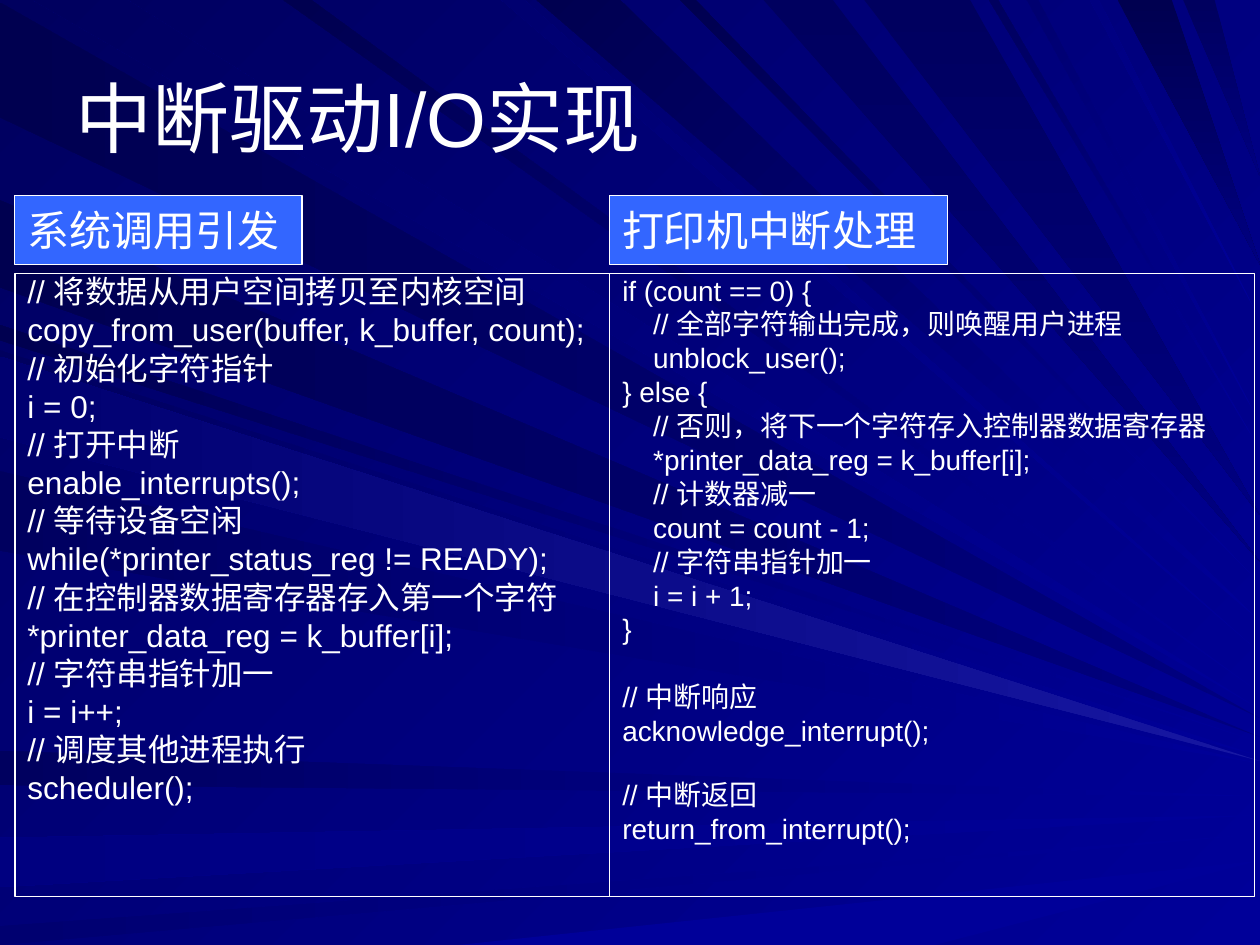
from dataclasses import dataclass
from enum import Enum

from lxml.etree import SubElement
from pptx import Presentation
from pptx.dml.color import RGBColor
from pptx.dml.fill import FillFormat
from pptx.enum.shapes import MSO_SHAPE
from pptx.enum.text import MSO_ANCHOR, MSO_AUTO_SIZE, PP_ALIGN
from pptx.oxml.ns import qn
from pptx.shapes.autoshape import Shape
from pptx.slide import Slide
from pptx.util import Cm, Pt

WHITE = RGBColor(0xFF, 0xFF, 0xFF)
LABEL = RGBColor(0x33, 0x66, 0xFF)
GLOW = RGBColor(0x17, 0x17, 0xA2)
BRIGHT = RGBColor(0x00, 0x00, 0x99)
MID = RGBColor(0x00, 0x00, 0x80)
DIM = RGBColor(0x00, 0x00, 0x70)
DEEP = RGBColor(0x00, 0x00, 0x5F)
DARK = RGBColor(0x00, 0x00, 0x50)

WIDE, HIGH = 1000, 750  # grid for the rays
UNIT = Cm(25.4) / WIDE
LEFT, SPLIT = 0.3, 12.29


class Edge(Enum):
    """Slide edge where a ray is wide, with the angle of its gradient."""
    SIDE = 180
    TOP = 135
    ROOF = 270
    FLOOR = 0


@dataclass
class Ray:
    edge: Edge
    near: int
    far: int
    tip: int
    start: RGBColor
    end: RGBColor

    def points(self) -> list[tuple[int, int]]:
        """Give a triangle from the edge to its tip on the right side."""
        ends = (self.near, self.far)
        if self.edge is Edge.SIDE:
            base = [(0, end) for end in ends]
        else:
            level = HIGH if self.edge is Edge.FLOOR else 0
            base = [(end, level) for end in ends]
        return [*base, (WIDE, self.tip)]


@dataclass
class Panel:
    left: float
    width: float
    tab: float
    head: str
    size: int
    code: str
    gaps: dict[int, float]


RAYS = [
    Ray(Edge.SIDE, 2, 93, 570, MID, DARK),
    Ray(Edge.TOP, 26, 101, 563, BRIGHT, DEEP),
    Ray(Edge.SIDE, 596, 623, 632, BRIGHT, DEEP),
    Ray(Edge.SIDE, 665, 704, 647, BRIGHT, MID),
    Ray(Edge.SIDE, 735, 750, 662, BRIGHT, DIM),
    Ray(Edge.FLOOR, 364, 742, 683, BRIGHT, BRIGHT),
    Ray(Edge.SIDE, 258, 270, 589, BRIGHT, DARK),
    Ray(Edge.SIDE, 159, 228, 585, MID, DARK),
    Ray(Edge.TOP, 398, 416, 518, BRIGHT, DIM),
    Ray(Edge.TOP, 426, 492, 493, BRIGHT, DARK),
    Ray(Edge.TOP, 540, 552, 463, BRIGHT, DARK),
    Ray(Edge.ROOF, 606, 661, 446, DEEP, MID),
    Ray(Edge.ROOF, 887, 930, 210, DARK, MID),
    Ray(Edge.ROOF, 939, 964, 140, DEEP, MID),
    Ray(Edge.SIDE, 278, 342, 600, BRIGHT, DEEP),
    Ray(Edge.SIDE, 374, 437, 606, BRIGHT, DEEP),
    Ray(Edge.TOP, 225, 247, 550, BRIGHT, DARK),
    Ray(Edge.ROOF, 686, 770, 409, DEEP, MID),
    Ray(Edge.TOP, 785, 792, 357, BRIGHT, DEEP),
    Ray(Edge.TOP, 815, 824, 336, BRIGHT, DIM),
    Ray(Edge.TOP, 865, 872, 254, BRIGHT, MID),
    Ray(Edge.SIDE, 283, 347, 604, GLOW, DIM),
]

CALL = """// 将数据从用户空间拷贝至内核空间
copy_from_user(buffer, k_buffer, count);
// 初始化字符指针
i = 0;
// 打开中断
enable_interrupts();
// 等待设备空闲
while(*printer_status_reg != READY);
// 在控制器数据寄存器存入第一个字符
*printer_data_reg = k_buffer[i];
// 字符串指针加一
i = i++;
// 调度其他进程执行
scheduler();"""

SERVE = """if (count == 0) {
    // 全部字符输出完成，则唤醒用户进程
    unblock_user();
} else {
    // 否则，将下一个字符存入控制器数据寄存器
    *printer_data_reg = k_buffer[i];
    // 计数器减一
    count = count - 1;
    // 字符串指针加一
    i = i + 1;
}
// 中断响应
acknowledge_interrupt();
// 中断返回
return_from_interrupt();"""

PANELS = [
    Panel(LEFT, SPLIT - LEFT, 5.79, "系统调用引发", 18, CALL, {}),
    Panel(SPLIT, 13, 6.81, "打印机中断处理", 16, SERVE, {11: 23.5, 13: 21}),
]


def apply(target: object, values: dict) -> None:
    for name, value in values.items():
        setattr(target, name, value)


def place(shape: Shape, left: float, top: float, width: float, height: float) -> None:
    apply(shape, {"left": Cm(left), "top": Cm(top), "width": Cm(width), "height": Cm(height)})


def frame(shape: Shape) -> None:
    shape.line.color.rgb = WHITE
    shape.line.width = Pt(0.75)


def write(para, text: str, size: int) -> None:
    run = para.add_run()
    run.text = text
    apply(run.font, {"name": "Arial", "size": Pt(size)})
    run.font.color.rgb = WHITE


def blend(fill: FillFormat, start: RGBColor, end: RGBColor, angle: int) -> None:
    fill.gradient()
    fill.gradient_angle = angle
    for stop, color in zip(fill.gradient_stops, (start, end)):
        stop.color.rgb = color


def draw_rays(slide: Slide) -> None:
    """Draw the rays as one group behind everything else."""
    group = slide.shapes.add_group_shape()
    for ray in RAYS:
        first, *rest = ray.points()
        pen = group.shapes.build_freeform(*first, scale=UNIT)
        pen.add_line_segments(rest, close=True)
        shape = pen.convert_to_shape()
        shape.shadow.inherit = False
        shape.line.fill.background()
        blend(shape.fill, ray.start, ray.end, ray.edge.value)
    slide.shapes._spTree.insert(2, group._element)


def draw_title(shape: Shape) -> None:
    place(shape, 1.27, 0.76, 22.86, 3.18)
    apply(shape.text_frame, {"vertical_anchor": MSO_ANCHOR.MIDDLE, "auto_size": MSO_AUTO_SIZE.NONE})
    para = shape.text_frame.paragraphs[0]
    para.alignment = PP_ALIGN.LEFT
    write(para, "中断驱动I/O实现", 44)


def draw_code(shape: Shape, panel: Panel) -> None:
    place(shape, panel.left, 5.51, panel.width, 12.57)
    frame(shape)
    text = shape.text_frame
    text.auto_size = MSO_AUTO_SIZE.NONE
    for row, line in enumerate(panel.code.splitlines()):
        para = text.add_paragraph() if row else text.paragraphs[0]
        props = para._p.get_or_add_pPr()
        props.set("marL", str(Cm(0.97)))
        props.set("indent", str(Cm(-0.97)))
        SubElement(props, qn("a:buNone"))
        before = panel.gaps.get(row, panel.size / 4) if row else 0
        apply(para, {"line_spacing": 0.8, "space_before": Pt(before)})
        write(para, line, panel.size)


def draw_head(slide: Slide, panel: Panel) -> None:
    shape = slide.shapes.add_shape(MSO_SHAPE.RECTANGLE, 0, 0, 0, 0)
    place(shape, panel.left, 3.94, panel.tab, 1.4)
    shape.shadow.inherit = False
    shape.fill.solid()
    shape.fill.fore_color.rgb = LABEL
    frame(shape)
    apply(shape.text_frame, {"word_wrap": False, "vertical_anchor": MSO_ANCHOR.MIDDLE})
    para = shape.text_frame.paragraphs[0]
    para.alignment = PP_ALIGN.LEFT
    write(para, panel.head, 24)


def main() -> None:
    deck = Presentation()
    apply(deck, {"slide_width": Cm(25.4), "slide_height": Cm(19.05)})
    slide = deck.slides.add_slide(deck.slide_layouts[3])
    blend(slide.background.fill, BRIGHT, DEEP, Edge.TOP.value)
    draw_rays(slide)
    title, *bodies = slide.placeholders
    draw_title(title)
    for body, panel in zip(bodies, PANELS):
        draw_code(body, panel)
        draw_head(slide, panel)
    deck.save("out.pptx")


if __name__ == "__main__":
    main()
